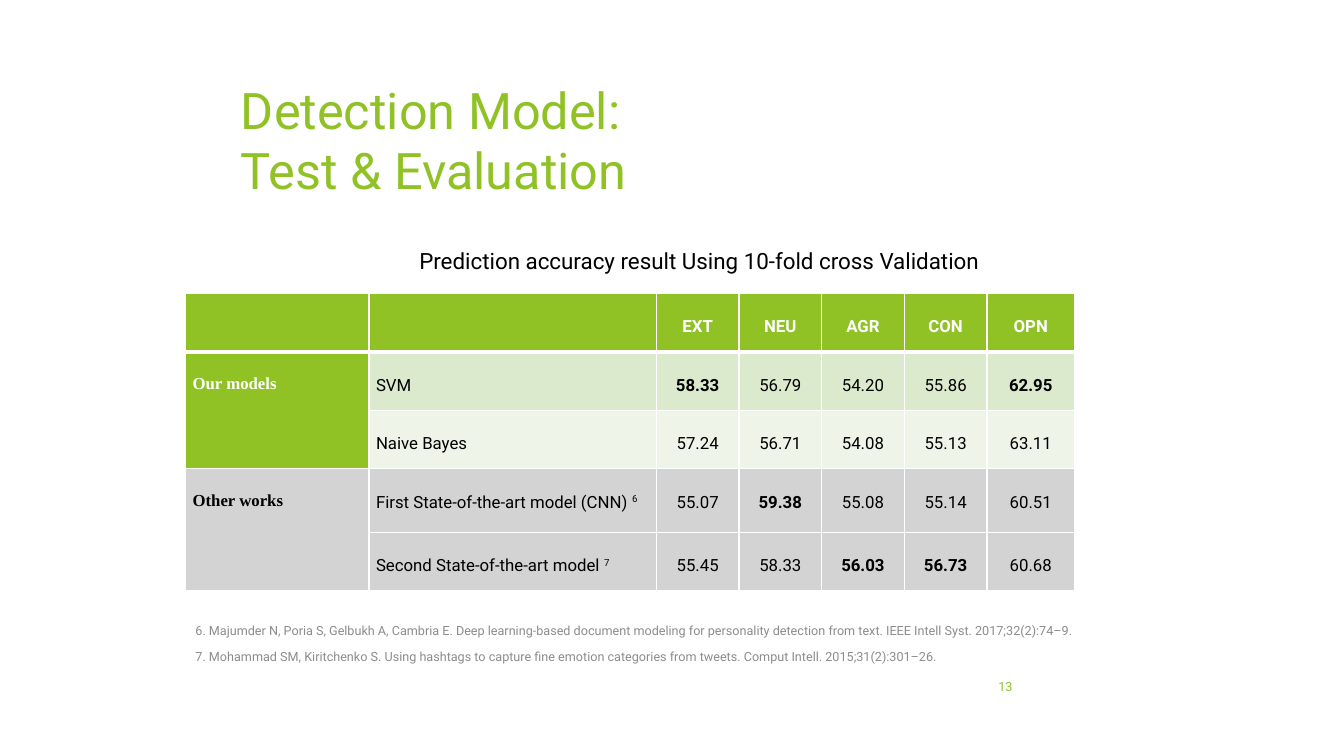
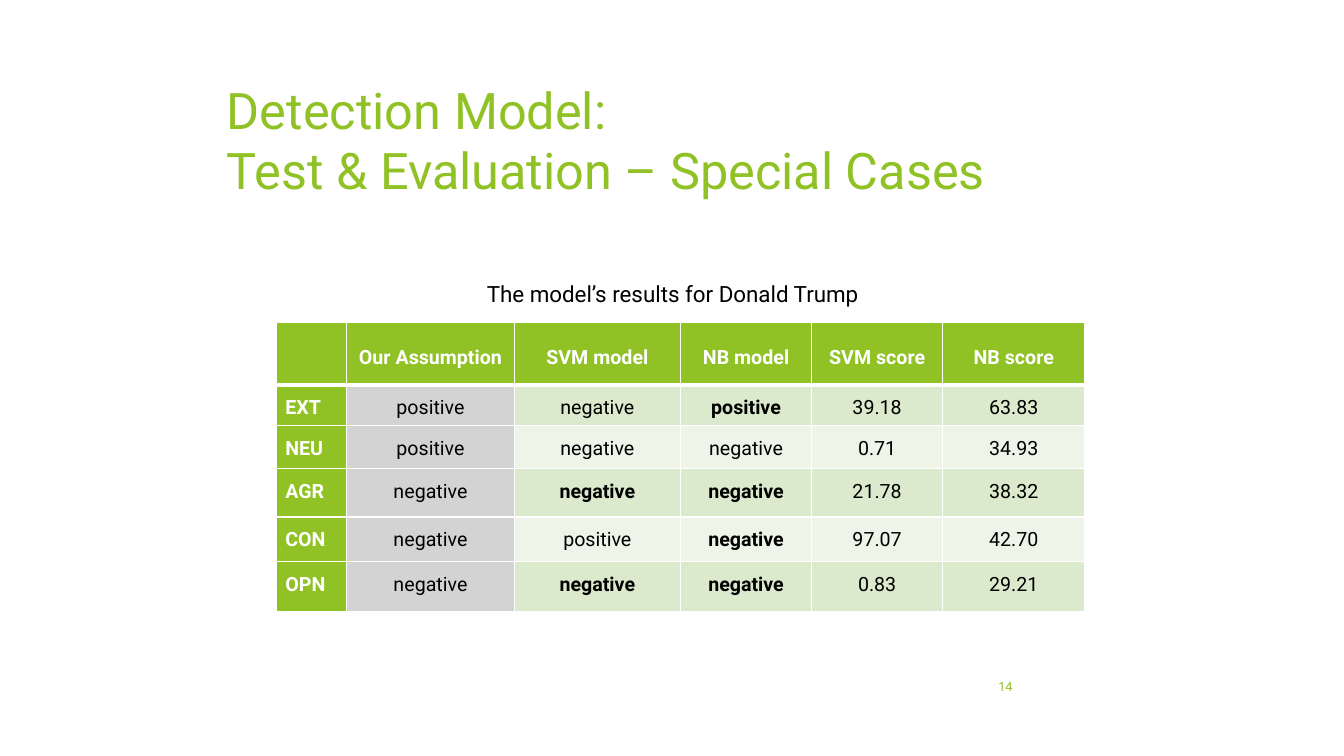
"""Build two slides that report the test results of a detection model."""
from dataclasses import dataclass

from lxml import etree
from pptx import Presentation
from pptx.dml.color import RGBColor
from pptx.enum.text import MSO_ANCHOR, MSO_AUTO_SIZE, PP_ALIGN
from pptx.oxml.ns import qn
from pptx.util import Inches, Pt

LEFT, CENTER, RIGHT = PP_ALIGN.LEFT, PP_ALIGN.CENTER, PP_ALIGN.RIGHT
TOP, MIDDLE = MSO_ANCHOR.TOP, MSO_ANCHOR.MIDDLE
NO_AUTOFIT = MSO_AUTO_SIZE.NONE

GREEN, PALE, PALEST = "90C226", "DBE9CD", "EEF4E8"
SILVER, GRAY, BLACK, WHITE = "D3D3D3", "8C8C8C", "000000", "FFFFFF"
SANS, SERIF = "Roboto", "Times New Roman"
TITLE_ONLY = 5
THIN, THICK = 1, 3


@dataclass(frozen=True)
class Box:
    """Place of a shape in inches."""

    left: float
    top: float
    width: float
    height: float

    def lengths(self):
        return [Inches(n) for n in (self.left, self.top, self.width, self.height)]


@dataclass(frozen=True)
class Row:
    """Table row; the last fill serves all remaining columns."""

    height: float
    fills: tuple[str, ...]
    cells: tuple[str, ...]

    def fill(self, column: int) -> str:
        return self.fills[min(column, len(self.fills) - 1)]


@dataclass(frozen=True)
class ResultTable:
    """Table of results with its caption and format."""

    caption: str
    caption_box: Box
    left: float
    top: float
    widths: tuple[float, ...]
    rows: tuple[Row, ...]
    bold: set[tuple[int, int]]
    size: float
    body_spacing: float
    margins: tuple[float, float]
    left_columns: int
    label_font: str = SANS
    merged_rows: tuple[tuple[int, int], ...] = ()


def color(value: str) -> RGBColor:
    """Turn a hex string into a colour."""
    return RGBColor.from_string(value)


def write(paragraph, text: str, *, size: float, fill: str = BLACK, font: str = SANS,
          bold: bool = False, align=LEFT, spacing: float = 1) -> None:
    """Write formatted text; what follows a caret is superscript."""
    body, _, superscript = text.partition("^")
    paragraph.text = body
    if superscript:
        run = paragraph.add_run()
        run.text = superscript
        run.font._element.set("baseline", "30000")
    paragraph.alignment = align
    paragraph.line_spacing = spacing
    for run in paragraph.runs:
        run.font.name = font
        run.font.size = Pt(size)
        run.font.bold = bold
        run.font.color.rgb = color(fill)


def add_text(slide, box: Box, text: str, *, anchor=TOP, wrap: bool = True, **text_format) -> None:
    """Add a text box with one paragraph."""
    frame = slide.shapes.add_textbox(*box.lengths()).text_frame
    frame.word_wrap = wrap
    frame.vertical_anchor = anchor
    write(frame.paragraphs[0], text, **text_format)


def add_titled_slide(presentation, title: str, left: float, number: int):
    """Add a slide with its title and slide number."""
    slide = presentation.slides.add_slide(presentation.slide_layouts[TITLE_ONLY])
    shape = slide.shapes.title
    shape.left, shape.top, shape.width, shape.height = Box(left, 0.73, 9.4, 1.44).lengths()
    frame = shape.text_frame
    frame.auto_size = NO_AUTOFIT
    frame.vertical_anchor = TOP
    write(frame.paragraphs[0], title, size=36, fill=GREEN)
    add_text(slide, Box(9.39, 6.61, 0.75, 0.4), str(number),
             size=9, fill=GREEN, align=RIGHT, anchor=MIDDLE)
    return slide


def set_borders(cell, top: float, bottom: float) -> None:
    """Draw white borders around a cell."""
    properties = cell._tc.get_or_add_tcPr()
    for side, width in (("L", THIN), ("R", THIN), ("T", top), ("B", bottom)):
        line = etree.SubElement(properties, qn(f"a:ln{side}"), w=str(Pt(width)))
        solid = etree.SubElement(line, qn("a:solidFill"))
        etree.SubElement(solid, qn("a:srgbClr"), val=WHITE)


def add_result_table(slide, result: ResultTable) -> None:
    """Add a results table and its caption."""
    box = Box(result.left, result.top, sum(result.widths), sum(row.height for row in result.rows))
    table = slide.shapes.add_table(len(result.rows), len(result.widths), *box.lengths()).table
    for column, width in zip(table.columns, result.widths):
        column.width = Inches(width)
    for i, row in enumerate(result.rows):
        table.rows[i].height = Inches(row.height)
        for j, text in enumerate(row.cells):
            cell = table.cell(i, j)
            cell.margin_left = cell.margin_right = Inches(result.margins[0])
            cell.margin_top = cell.margin_bottom = Inches(result.margins[1])
            set_borders(cell, THICK if i == 1 else THIN, THICK if i == 0 else THIN)
            cell.fill.solid()
            cell.fill.fore_color.rgb = color(row.fill(j))
            write(cell.text_frame.paragraphs[0], text, size=result.size,
                  fill=WHITE if row.fill(j) == GREEN else BLACK,
                  font=result.label_font if j == 0 else SANS,
                  bold=i == 0 or j == 0 or (i, j) in result.bold,
                  align=LEFT if j < result.left_columns else CENTER,
                  spacing=2 if i == 0 else result.body_spacing)
    for first, last in result.merged_rows:
        table.cell(first, 0).merge(table.cell(last, 0))
    add_text(slide, result.caption_box, result.caption, wrap=False, size=16)


ACCURACY = ResultTable(
    caption="Prediction accuracy result Using 10-fold cross Validation",
    caption_box=Box(4.06, 2.4, 5.85, 0.37),
    left=1.84, top=2.91,
    widths=(1.82, 2.85, 0.82, 0.82, 0.82, 0.82, 0.87),
    rows=(
        Row(0.58, (GREEN,), ("", "", "EXT", "NEU", "AGR", "CON", "OPN")),
        Row(0.58, (GREEN, PALE),
            ("Our models", "SVM", "58.33", "56.79", "54.20", "55.86", "62.95")),
        Row(0.58, (GREEN, PALEST),
            ("", "Naive Bayes", "57.24", "56.71", "54.08", "55.13", "63.11")),
        Row(0.63, (SILVER,),
            ("Other works", "First State-of-the-art model (CNN) ^6",
             "55.07", "59.38", "55.08", "55.14", "60.51")),
        Row(0.58, (SILVER,),
            ("", "Second State-of-the-art model ^7",
             "55.45", "58.33", "56.03", "56.73", "60.68")),
    ),
    bold={(1, 2), (1, 6), (3, 3), (4, 4), (4, 5)},
    size=12, body_spacing=2, margins=(0.07, 0.04), left_columns=2,
    label_font=SERIF, merged_rows=((1, 2), (3, 4)),
)

CASE_ROWS = (
    Row(0.62, (GREEN,),
        ("", "Our Assumption", "SVM model", "NB model", "SVM score", "NB score")),
    Row(0.4, (GREEN, SILVER, PALE),
        ("EXT", "positive", "negative", "positive", "39.18", "63.83")),
    Row(0.43, (GREEN, SILVER, PALEST),
        ("NEU", "positive", "negative", "negative", "0.71", "34.93")),
    Row(0.48, (GREEN, SILVER, PALE),
        ("AGR", "negative", "negative", "negative", "21.78", "38.32")),
    Row(0.44, (GREEN, SILVER, PALEST),
        ("CON", "negative", "positive", "negative", "97.07", "42.70")),
    Row(0.5, (GREEN, SILVER, PALE),
        ("OPN", "negative", "negative", "negative", "0.83", "29.21")),
)

SPECIAL_CASE = ResultTable(
    caption="The model’s results for Donald Trump",
    caption_box=Box(4.73, 2.73, 4.04, 0.37),
    left=2.74, top=3.2,
    widths=(0.7, 1.66, 1.65, 1.3, 1.3, 1.41),
    rows=CASE_ROWS,
    bold={(i, j) for i, row in enumerate(CASE_ROWS) for j in (2, 3)
          if row.cells[j] == row.cells[1]},
    size=14, body_spacing=1.5, margins=(0.09, 0), left_columns=1,
)

REFERENCES = (
    "6. Majumder N, Poria S, Gelbukh A, Cambria E. Deep learning-based document modeling "
    "for personality detection from text. IEEE Intell Syst. 2017;32(2):74–9.",
    "7. Mohammad SM, Kiritchenko S. Using hashtags to capture fine emotion categories "
    "from tweets. Comput Intell. 2015;31(2):301–26.",
)


def main() -> None:
    """Build and save the presentation."""
    presentation = Presentation()
    presentation.slide_width, presentation.slide_height = Inches(13.33), Inches(7.5)

    slide = add_titled_slide(presentation, "Detection Model:\nTest & Evaluation", 2.29, 13)
    add_result_table(slide, ACCURACY)
    for i, reference in enumerate(REFERENCES):
        add_text(slide, Box(1.84, 6.06 + 0.25 * i, 9.4, 0.4), reference,
                 size=9, fill=GRAY, anchor=MIDDLE)

    slide = add_titled_slide(
        presentation, "Detection Model:\nTest & Evaluation – Special Cases", 2.15, 14)
    add_result_table(slide, SPECIAL_CASE)

    presentation.save("out.pptx")


if __name__ == "__main__":
    main()
